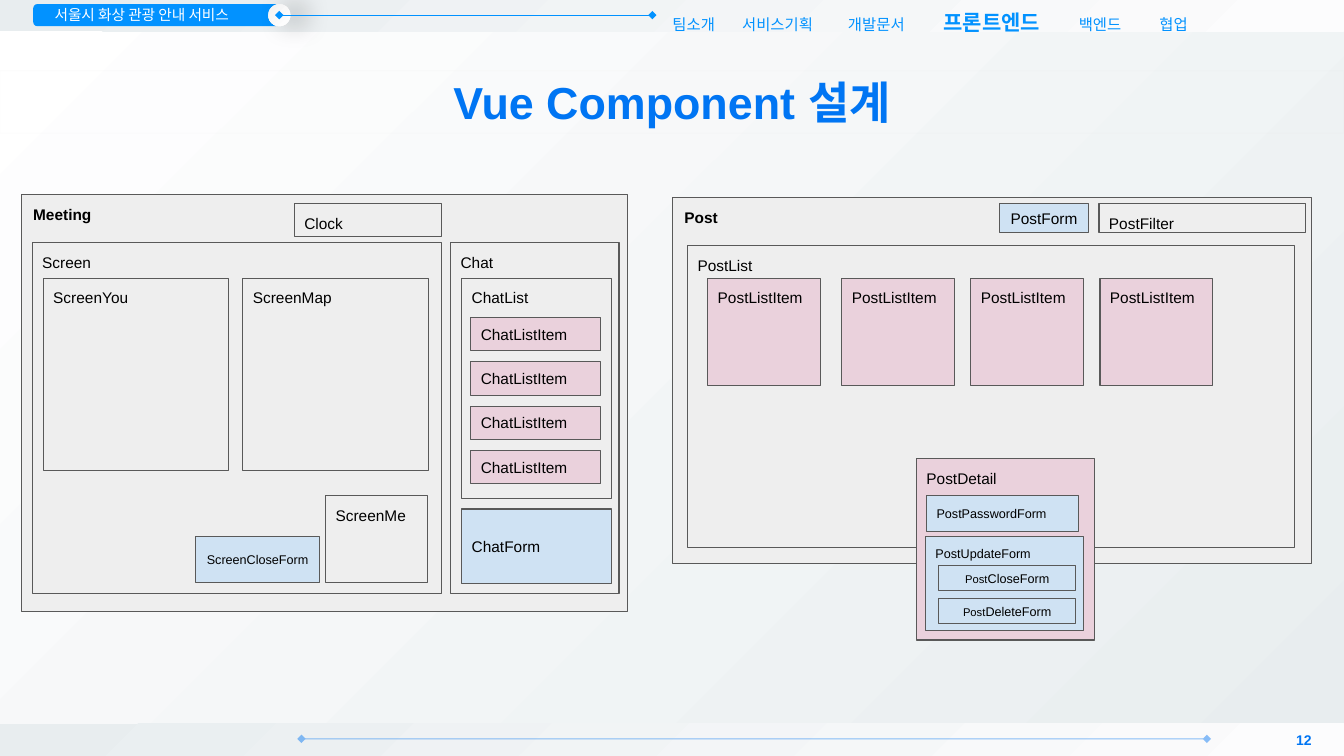
from lxml import etree
from pptx import Presentation
from pptx.dml.color import RGBColor
from pptx.enum.shapes import MSO_CONNECTOR, MSO_SHAPE
from pptx.enum.text import MSO_ANCHOR, PP_ALIGN
from pptx.oxml.ns import qn
from pptx.util import Inches, Pt

LEFT, CENTER, RIGHT = PP_ALIGN.LEFT, PP_ALIGN.CENTER, PP_ALIGN.RIGHT
TOP, MIDDLE = MSO_ANCHOR.TOP, MSO_ANCHOR.MIDDLE
RECT, ROUND, OVAL = MSO_SHAPE.RECTANGLE, MSO_SHAPE.ROUNDED_RECTANGLE, MSO_SHAPE.OVAL
STRAIGHT = MSO_CONNECTOR.STRAIGHT

BLUE = RGBColor(0x00, 0x75, 0xF3)
SKY = RGBColor(0x02, 0x92, 0xFF)
WHITE = RGBColor(0xFF, 0xFF, 0xFF)
OFF_WHITE = RGBColor(0xFC, 0xFC, 0xFD)
PALE = RGBColor(0xF2, 0xF2, 0xF2)
MIST = RGBColor(0xE8, 0xED, 0xEF)
SILVER = RGBColor(0xD8, 0xD8, 0xD8)
BLACK = RGBColor(0x00, 0x00, 0x00)
EDGE = RGBColor(0x59, 0x59, 0x59)
GRAY = RGBColor(0xEE, 0xEE, 0xEE)
PINK = RGBColor(0xEA, 0xD1, 0xDC)
FORM = RGBColor(0xCF, 0xE2, 0xF3)

FONT = "Arial"
TITLE = "Vue Component 설계"
SERVICE = "서울시 화상 관광 안내 서비스"
PAGE_NUMBER = "12"
MENU = [("팀소개", 0), ("서비스기획", 0.69), ("개발문서", 1.74),
        ("프론트엔드", 2.69), ("백엔드", 4.03), ("협업", 4.83)]
CURRENT = "프론트엔드"

HEADINGS = [("Meeting", (0.23, 1.94, 1.01, 0.39)), ("Post", (6.69, 1.97, 0.77, 0.39))]
CHAT_ITEMS = [("ChatListItem", (4.67, 3.15 + 0.44 * row, 1.29, 0.33), PINK, 11, MIDDLE, LEFT)
              for row in range(4)]
POST_ITEMS = [("PostListItem", (left, 2.76, 1.12, 1.07), PINK, 11, TOP, LEFT)
              for left in [7.02] + [8.35 + 1.28 * column for column in range(3)]]
COMPONENTS = [
    ("", (0.21, 1.93, 6.01, 4.14), GRAY, 11, TOP, LEFT),
    ("Screen", (0.32, 2.41, 4.06, 3.48), GRAY, 11, TOP, LEFT),
    ("ScreenYou", (0.43, 2.76, 1.84, 1.91), GRAY, 11, TOP, LEFT),
    ("ScreenMap", (2.41, 2.76, 1.84, 1.91), GRAY, 11, TOP, LEFT),
    ("ScreenMe", (3.23, 4.92, 1.01, 0.86), GRAY, 11, TOP, LEFT),
    ("Chat", (4.47, 2.41, 1.67, 3.48), GRAY, 11, TOP, LEFT),
    ("ScreenCloseForm", (1.94, 5.32, 1.23, 0.46), FORM, 9, MIDDLE, CENTER),
    ("Clock", (2.92, 2.02, 1.46, 0.33), GRAY, 11, TOP, LEFT),
    ("ChatList", (4.58, 2.76, 1.49, 2.19), GRAY, 11, TOP, LEFT),
    *CHAT_ITEMS,
    ("ChatForm", (4.58, 5.05, 1.49, 0.74), FORM, 11, MIDDLE, LEFT),
    ("", (6.67, 1.96, 6.34, 3.63), GRAY, 11, TOP, LEFT),
    ("PostList", (6.82, 2.44, 6.02, 2.99), GRAY, 11, TOP, LEFT),
    ("PostFilter", (10.9, 2.02, 2.05, 0.29), GRAY, 11, TOP, LEFT),
    ("PostForm", (9.91, 2.02, 0.89, 0.29), FORM, 11, MIDDLE, CENTER),
    *POST_ITEMS,
    ("PostDetail", (9.09, 4.55, 1.77, 1.8), PINK, 11, TOP, LEFT),
    ("PostUpdateForm", (9.18, 5.32, 1.57, 0.94), FORM, 9, TOP, LEFT),
    ("PostPasswordForm", (9.19, 4.92, 1.51, 0.35), FORM, 9, MIDDLE, LEFT),
]
POST_ACTIONS = [("CloseForm", 5.61), ("DeleteForm", 5.94)]


def add_xml(parent, tag, **attributes):
    return etree.SubElement(parent, qn(tag), attributes)


def set_gradient(fill, element, inner, outer):
    fill.gradient()
    for stop, color in zip(fill.gradient_stops, (inner, outer)):
        stop.color.rgb = color
    gradient = element.find(".//" + qn("a:gradFill"))
    gradient.remove(gradient.find(qn("a:lin")))
    focus = add_xml(gradient, "a:path", path="circle")
    add_xml(focus, "a:fillToRect", l="100000", t="100000")


def set_line(line, color, alpha=100):
    line.color.rgb = color
    line.width = Pt(0.75)
    if alpha < 100:
        add_xml(line.fill._xPr.find(".//" + qn("a:srgbClr")), "a:alpha", val=str(alpha * 1000))


def add_box(page, place, fill=None, edge=None, kind=RECT, alpha=100):
    box = page.shapes.add_shape(kind, *map(Inches, place))
    box.shadow.inherit = False
    if fill is None:
        box.fill.background()
    else:
        box.fill.solid()
        box.fill.fore_color.rgb = fill
    if edge is None:
        box.line.fill.background()
    else:
        set_line(box.line, edge, alpha)
    return box


def add_text(box, runs, color=BLACK, anchor=TOP, align=LEFT, inset=(0.1, 0.1)):
    frame = box.text_frame
    frame.word_wrap = True
    frame.vertical_anchor = anchor
    frame.margin_left = frame.margin_right = Inches(inset[0])
    frame.margin_top = frame.margin_bottom = Inches(inset[1])
    para = frame.paragraphs[0]
    para.alignment = align
    for text, size, bold in runs:
        span = para.add_run()
        span.text = text
        span.font.name = FONT
        span.font.size = Pt(size)
        span.font.bold = bold
        span.font.color.rgb = color
    return para


def add_diamond_line(page, start, end, y, color, alpha=100):
    line = page.shapes.add_connector(STRAIGHT, Inches(start), Inches(y), Inches(end), Inches(y))
    set_line(line.line, color, alpha)
    outline = line.line._get_or_add_ln()
    add_xml(outline, "a:headEnd", type="diamond")
    add_xml(outline, "a:tailEnd", type="diamond")
    add_xml(line._element.spPr, "a:effectLst")


def add_frame(page):
    set_gradient(page.background.fill, page._element, MIST, WHITE)
    for place in [(0, -0.04, 13.33, 0.35), (0, 7.18, 13.33, 0.33)]:
        band = add_box(page, place)
        set_gradient(band.fill, band._element, OFF_WHITE, MIST)
    add_diamond_line(page, 2.99, 11.97, 7.33, BLUE, 46)
    title = add_box(page, (0, 0.7, 13.33, 0.62), edge=SILVER, alpha=5)
    add_text(title, [(TITLE, 32, True)], BLUE, MIDDLE, CENTER, (0, 0))
    number = page.shapes.add_textbox(*map(Inches, (12.38, 7.18, 0.63, 0.32)))
    add_text(number, [(PAGE_NUMBER, 10, True)], BLUE, MIDDLE, RIGHT, (0, 0))


def add_header(page):
    service = add_box(page, (0.33, 0.04, 2.44, 0.22), SKY, kind=ROUND)
    service.adjustments[0] = 0.19
    add_text(service, [(SERVICE, 10.5, False)], WHITE, MIDDLE, LEFT, (0.2, 0.05))

    menu = page.shapes.add_textbox(*map(Inches, (6.67, 0.04, 6.34, 0.22)))
    runs = [(("\t" if offset else "") + name, 15 if name == CURRENT else 11, name == CURRENT)
            for name, offset in MENU]
    para = add_text(menu, runs, SKY, inset=(0, 0))
    para.line_spacing = 1.2
    tabs = add_xml(para._p.get_or_add_pPr(), "a:tabLst")
    for name, offset in MENU[1:]:
        add_xml(tabs, "a:tab", pos=str(Inches(offset)), algn="l")

    knob = add_box(page, (2.66, 0.04, 0.22, 0.22), kind=OVAL)
    set_gradient(knob.fill, knob._element, WHITE, PALE)
    effects = knob._element.spPr.find(qn("a:effectLst"))
    shadow = add_xml(effects, "a:outerShdw", blurRad=str(Pt(19)), dist=str(Pt(11)), dir="0")
    add_xml(add_xml(shadow, "a:srgbClr", val=str(BLACK)), "a:alpha", val="27000")
    add_diamond_line(page, 2.77, 6.47, 0.15, SKY)


def add_components(page):
    for name, place, fill, size, anchor, align in COMPONENTS:
        box = add_box(page, place, fill, EDGE)
        if name:
            add_text(box, [(name, size, False)], anchor=anchor, align=align)
    for name, top in POST_ACTIONS:
        box = add_box(page, (9.31, top, 1.36, 0.25), FORM, EDGE)
        add_text(box, [("Post", 8, False), (name, 9, False)], anchor=MIDDLE, align=CENTER)
    for name, place in HEADINGS:
        add_text(page.shapes.add_textbox(*map(Inches, place)), [(name, 11, True)])


def main():
    deck = Presentation()
    deck.slide_width, deck.slide_height = Inches(13.33), Inches(7.5)
    page = deck.slides.add_slide(deck.slide_layouts[6])
    add_frame(page)
    add_header(page)
    add_components(page)
    deck.save("out.pptx")


if __name__ == "__main__":
    main()
